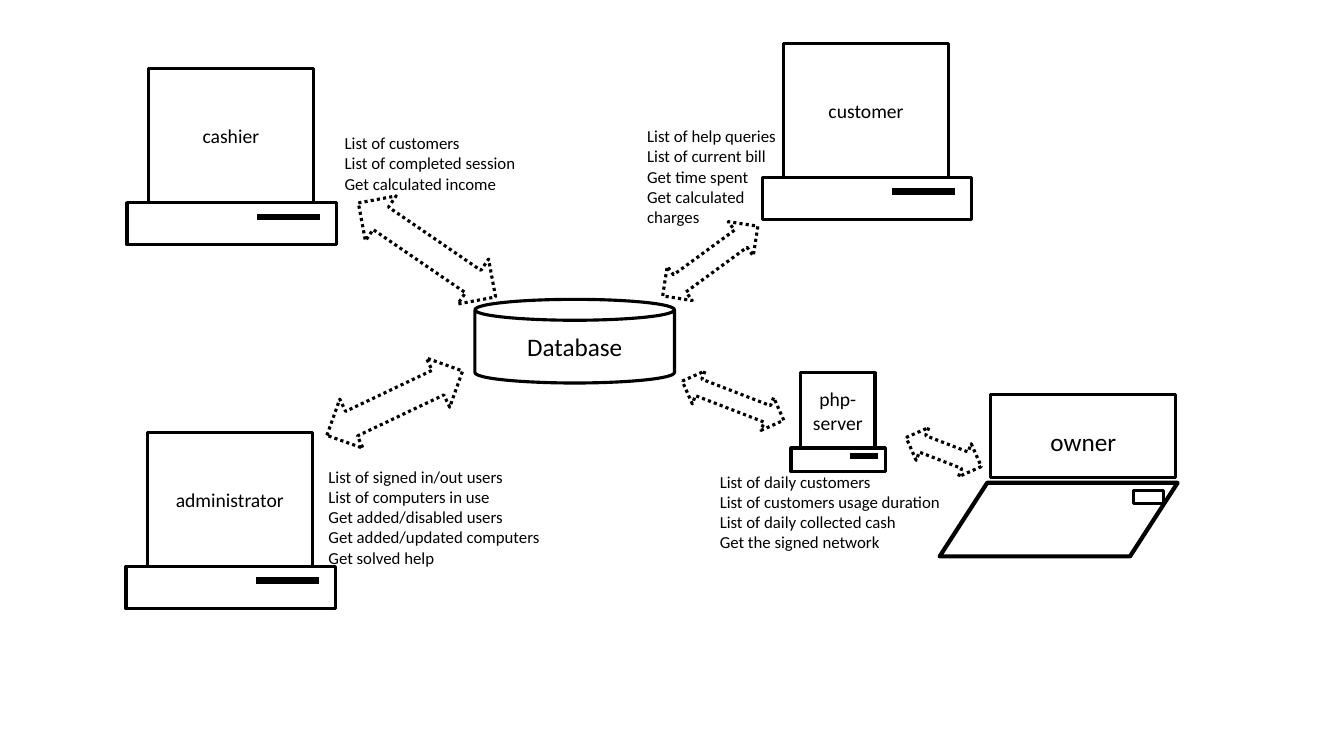
from pptx import Presentation
from pptx.dml.color import RGBColor
from pptx.enum.dml import MSO_LINE
from pptx.enum.shapes import MSO_CONNECTOR, MSO_SHAPE
from pptx.enum.text import MSO_ANCHOR, PP_ALIGN
from pptx.oxml.ns import qn
from pptx.util import Inches, Pt
from lxml.etree import SubElement

BLACK = "000000"
WHITE = "FFFFFF"
FONT = "Calibri"


def color(hex_value):
    return RGBColor.from_string(hex_value)


def write_lines(shape, lines, size, alignment=PP_ALIGN.LEFT):
    frame = shape.text_frame
    frame.word_wrap = True
    frame.text = "\n".join(lines)
    for paragraph in frame.paragraphs:
        paragraph.alignment = alignment
        paragraph.font.name = FONT
        paragraph.font.size = Pt(size)
        paragraph.font.color.rgb = color(BLACK)


def add_outline(shapes, kind, left, top, width, height, label="", size=14, weight=2.25):
    shape = shapes.add_shape(kind, Inches(left), Inches(top), Inches(width), Inches(height))
    shape.shadow.inherit = False
    shape.fill.solid()
    shape.fill.fore_color.rgb = color(WHITE)
    shape.line.color.rgb = color(BLACK)
    shape.line.width = Pt(weight)
    if label:
        shape.text_frame.vertical_anchor = MSO_ANCHOR.MIDDLE
        write_lines(shape, [label], size, PP_ALIGN.CENTER)
    return shape


def add_computer(slide, label, left, top, scale_x=1, scale_y=1):
    """Group a screen, its base unit and the disk slot."""
    shapes = slide.shapes.add_group_shape().shapes
    add_outline(shapes, MSO_SHAPE.RECTANGLE, left, top, 1.64 * scale_x, 1.34 * scale_y, label)
    add_outline(shapes, MSO_SHAPE.RECTANGLE, left - 0.21 * scale_x, top + 1.33 * scale_y,
                2.08 * scale_x, 0.42 * scale_y)
    slot_left = Inches(left + 1.08 * scale_x)
    slot_right = Inches(left + 1.7 * scale_x)
    slot_top = Inches(top + 1.47 * scale_y)
    slot = shapes.add_connector(MSO_CONNECTOR.STRAIGHT, slot_left, slot_top, slot_right, slot_top)
    slot.line.color.rgb = color(BLACK)
    slot.line.width = Pt(4.5)
    SubElement(slot.line._get_or_add_ln().getparent(), qn("a:effectLst"))


def add_data_arrow(slide, left, top, width, height, rotation):
    arrow = add_outline(slide.shapes, MSO_SHAPE.LEFT_RIGHT_ARROW, left, top, width, height)
    arrow.rotation = rotation
    arrow.line.dash_style = MSO_LINE.ROUND_DOT


def add_text(slide, left, top, width, height, lines, size=12):
    box = slide.shapes.add_textbox(Inches(left), Inches(top), Inches(width), Inches(height))
    write_lines(box, lines, size)


def add_laptop(slide):
    add_outline(slide.shapes, MSO_SHAPE.RECTANGLE, 9.82, 3.91, 1.84, 0.83)
    add_outline(slide.shapes, MSO_SHAPE.FLOWCHART_DATA, 9.32, 4.79, 2.36, 0.73, weight=3)
    add_text(slide, 10.32, 4.18, 1.15, 0.4, ["owner"], 18)
    add_outline(slide.shapes, MSO_SHAPE.RECTANGLE, 11.24, 4.87, 0.3, 0.13)


def main():
    presentation = Presentation()
    presentation.slide_width = Inches(13.33)
    presentation.slide_height = Inches(7.5)
    slide = presentation.slides.add_slide(presentation.slide_layouts[6])

    # Central database
    add_outline(slide.shapes, MSO_SHAPE.CAN, 4.71, 2.97, 1.98, 0.83, "Database", 18)

    # Desktop computers
    add_computer(slide, "administrator", 1.46, 4.29)
    add_computer(slide, "cashier", 1.47, 0.68)
    add_computer(slide, "customer", 7.77, 0.43)
    add_computer(slide, "php-server", 7.94, 3.7, 0.45, 0.56)

    # Data exchange: left, top, width, height, rotation
    for arrow in [
        (3.17, 3.73, 1.49, 0.54, 334.6),
        (6.73, 3.8, 1.08, 0.35, 21.1),
        (8.96, 4.31, 0.8, 0.35, 21.1),
        (3.41, 2.21, 1.65, 0.54, 34.4),
        (6.46, 2.38, 1.17, 0.42, 323.8),
    ]:
        add_data_arrow(slide, *arrow)

    # Owner's laptop
    add_laptop(slide)

    # Information each user receives
    add_text(slide, 3.32, 1.27, 1.9, 0.71, [
        "List of customers", "List of completed session", "Get calculated income"])
    add_text(slide, 6.32, 1.2, 1.52, 1.11, [
        "List of help queries", "List of current bill", "Get time spent",
        "Get calculated charges"])
    add_text(slide, 3.16, 4.58, 2.44, 1.31, [
        "List of signed in/out users", "List of computers in use",
        "Get added/disabled users", "Get added/updated computers", "Get solved help"])
    add_text(slide, 7.04, 4.63, 2.62, 0.91, [
        "List of daily customers", "List of customers usage duration",
        "List of daily collected cash", "Get the signed network"])

    presentation.save("out.pptx")


main()
